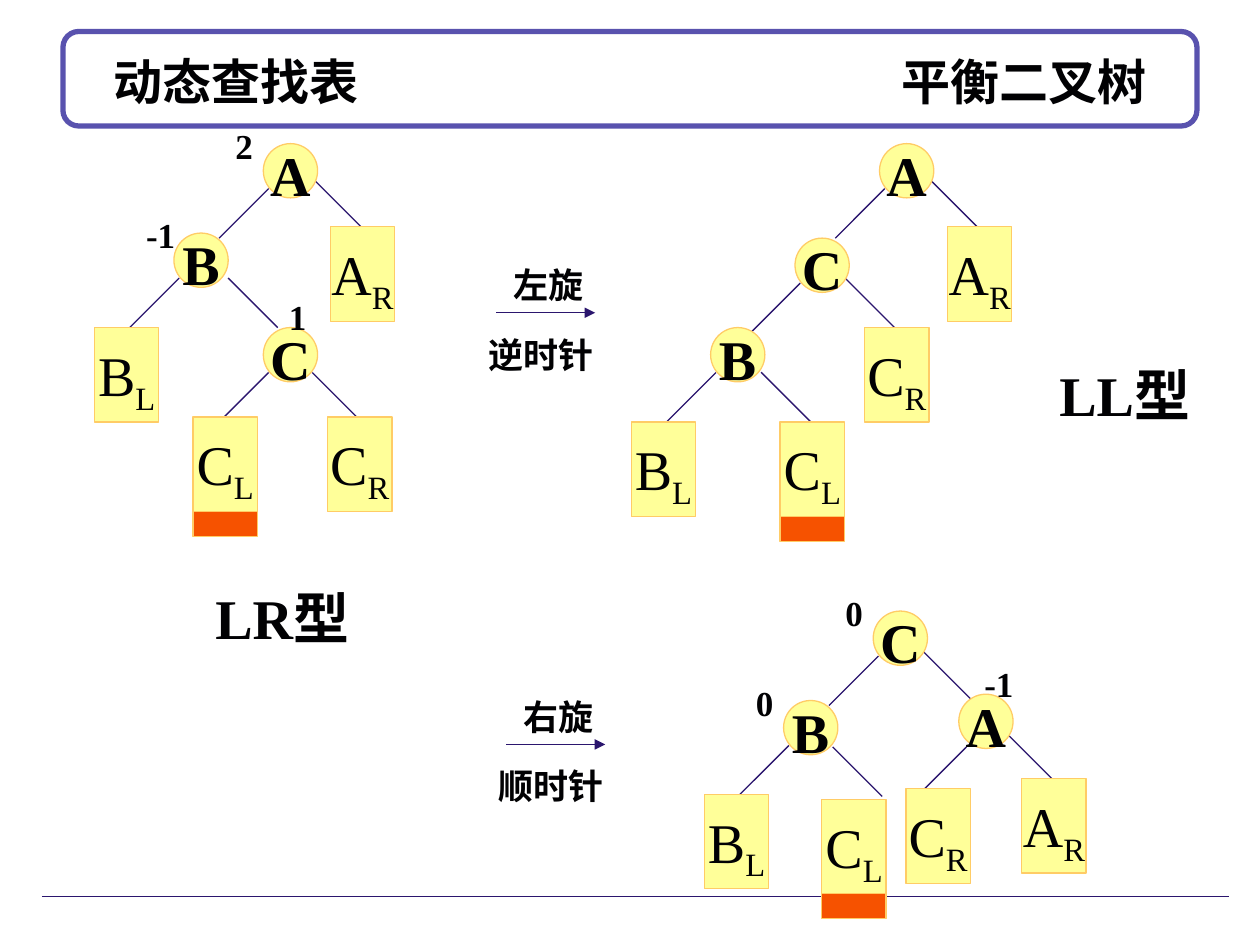
"""Build the slide on LR rotation of a balanced binary tree."""
from dataclasses import dataclass

from lxml.etree import SubElement
from pptx import Presentation
from pptx.dml.color import RGBColor
from pptx.enum.shapes import MSO_CONNECTOR, MSO_SHAPE
from pptx.enum.text import MSO_ANCHOR, MSO_AUTO_SIZE, PP_ALIGN
from pptx.oxml.ns import qn
from pptx.util import Pt


@dataclass(frozen=True)
class Theme:
    ink: RGBColor = RGBColor(0x01, 0x01, 0x03)
    edge: RGBColor = RGBColor(0x2B, 0x16, 0x6E)
    frame: RGBColor = RGBColor(0x59, 0x52, 0xAE)
    paper: RGBColor = RGBColor(0xFF, 0xFF, 0xFF)
    node: RGBColor = RGBColor(0xFF, 0xFF, 0x99)
    border: RGBColor = RGBColor(0xFF, 0xCC, 0x66)
    added: RGBColor = RGBColor(0xF6, 0x52, 0x00)
    serif: str = "Times New Roman"
    sans: str = "Lato"
    title: int = 28
    big: int = 32
    small: int = 20


@dataclass(frozen=True)
class Node:
    name: str
    x: float
    y: float
    right: tuple[float, float]
    left: tuple[float, float] = (3, 25.7)
    balance: str = ""
    tag: tuple[float, float] = (-23, -17)


@dataclass(frozen=True)
class Subtree:
    name: str
    side: str
    x: float
    y: float


@dataclass(frozen=True)
class Rotation:
    turn: str
    clock: str
    x: float
    y: float


T = Theme()
CIRCLE, BOX_W, BOX_H, ADDED_H, REACH = 31, 36.8, 54, 14.2, 28.3
TAG_RIGHT = (7.5, -24)

TREES = [
    ([Node("B", 99.4, 133.2, (31, 25.7), balance="-1"),
      Node("C", 150.5, 187.2, (28, 25.7), balance="1", tag=TAG_RIGHT),
      Node("A", 150.5, 82.1, (30, 21.7), balance="2")],
     [Subtree("B", "L", 54, 187.2), Subtree("C", "L", 110.3, 238.3),
      Subtree("C", "R", 187.2, 238.3), Subtree("A", "R", 188.7, 129.6)]),
    ([Node("B", 447.8, 400.3, (28, 26.5), balance="0"),
      Node("A", 547.9, 396.7, (27.4, 22.5), (4.3, 30.2), "-1", TAG_RIGHT),
      Node("C", 499, 349.2, (28, 22.5), balance="0")],
     [Subtree("B", "L", 402.5, 453.8), Subtree("C", "L", 469.6, 456.7),
      Subtree("C", "R", 517.7, 450.7), Subtree("A", "R", 583.9, 444.8)]),
    ([Node("B", 406.1, 187.2, (28.8, 25.5)),
      Node("C", 454.3, 136.1, (28.8, 23)),
      Node("A", 502.6, 82.1, (30, 21.7))],
     [Subtree("B", "L", 360.7, 241.2), Subtree("C", "L", 445.8, 241.2),
      Subtree("C", "R", 494.1, 187.2), Subtree("A", "R", 541.4, 129.6)]),
]
ROTATIONS = [Rotation("左旋", "逆时针", 283.6, 178.7),
             Rotation("右旋", "顺时针", 289.3, 425.4)]


def add_run(p, text: str, size: int, bold: bool = True,
            font: str = T.serif, sub: bool = False) -> None:
    """Append one formatted run."""
    r = p.add_run()
    r.text = text
    r.font.size, r.font.bold, r.font.name = Pt(size), bold, font
    r.font.color.rgb = T.ink
    if sub:
        r.font._element.set("baseline", "-25000")


def add_line(s, x1: float, y1: float, x2: float, y2: float, arrow: bool = False) -> None:
    """Draw a thin straight line, with an arrowhead if asked."""
    c = s.shapes.add_connector(MSO_CONNECTOR.STRAIGHT, Pt(x1), Pt(y1), Pt(x2), Pt(y2))
    c.line.color.rgb, c.line.width = T.edge, Pt(0.75)
    if arrow:
        SubElement(c.line._get_or_add_ln(), qn("a:tailEnd"), type="triangle")
    SubElement(c._element.spPr, qn("a:effectLst"))


def add_block(s, kind, x: float, y: float, w: float, h: float,
              fill: RGBColor, line: RGBColor = T.border, width: float = 0.75):
    """Draw a filled and outlined preset shape."""
    sp = s.shapes.add_shape(kind, Pt(x), Pt(y), Pt(w), Pt(h))
    sp.shadow.inherit = False
    sp.fill.solid()
    sp.fill.fore_color.rgb = fill
    sp.line.color.rgb, sp.line.width = line, Pt(width)
    return sp


def centre(sp):
    """Prepare a shape for centred letters and return its paragraph."""
    tf = sp.text_frame
    tf.word_wrap, tf.vertical_anchor = False, MSO_ANCHOR.MIDDLE
    p = tf.paragraphs[0]
    p.alignment, p.line_spacing = PP_ALIGN.CENTER, 1.1
    return p


def add_label(s, text: str, x: float, y: float, w: float, h: float,
              size: int = T.small, font: str = T.serif) -> None:
    """Place a bold free-standing label."""
    tf = s.shapes.add_textbox(Pt(x), Pt(y), Pt(w), Pt(h)).text_frame
    tf.word_wrap, tf.auto_size = True, MSO_AUTO_SIZE.SHAPE_TO_FIT_TEXT
    p = tf.paragraphs[0]
    p.line_spacing = 1.1
    add_run(p, text, size, font=font)


def add_tree(s, nodes: list[Node], subtrees: list[Subtree]) -> None:
    """Draw the edges, nodes, balance factors and subtrees of one tree."""
    for n in nodes:
        for (dx, dy), way in ((n.left, -1), (n.right, 1)):
            x, y = n.x + dx, n.y + dy
            add_line(s, x, y, x + way * REACH, y + REACH)
    for n in nodes:
        sp = add_block(s, MSO_SHAPE.OVAL, n.x, n.y, CIRCLE, CIRCLE, T.node)
        add_run(centre(sp), n.name, T.big)
    for t in subtrees:
        sp = add_block(s, MSO_SHAPE.RECTANGLE, t.x, t.y, BOX_W, BOX_H, T.node)
        p = centre(sp)
        add_run(p, t.name, T.big, bold=False)
        add_run(p, t.side, T.big, bold=False, sub=True)
        if (t.name, t.side) == ("C", "L"):
            add_block(s, MSO_SHAPE.RECTANGLE, t.x, t.y + BOX_H, BOX_W, ADDED_H, T.added)
    for n in nodes:
        if n.balance:
            add_label(s, n.balance, n.x + n.tag[0], n.y + n.tag[1], 36.8, 33.8)


def add_rotation(s, rot: Rotation) -> None:
    """Draw a rotation arrow with a label above and below it."""
    add_line(s, rot.x, rot.y, rot.x + 56.5, rot.y, arrow=True)
    add_label(s, rot.turn, rot.x + 2.5, rot.y - 34, 57, 31, font=T.sans)
    add_label(s, rot.clock, rot.x - 11.5, rot.y + 5.7, 85, 31, font=T.sans)


def add_title(s, left: str, right: str) -> None:
    """Fill the title with two ends and frame it."""
    sp = s.shapes.title
    sp.left, sp.top, sp.width, sp.height = Pt(36), Pt(24), Pt(648), Pt(45)
    frame = add_block(s, MSO_SHAPE.ROUNDED_RECTANGLE, 36, 18, 648, 54, T.paper, T.frame, 3)
    sp._element.addprevious(frame._element)
    tf = sp.text_frame
    tf.auto_size, tf.vertical_anchor = MSO_AUTO_SIZE.NONE, MSO_ANCHOR.MIDDLE
    tf.margin_left = Pt(29)
    p = tf.paragraphs[0]
    p.alignment = PP_ALIGN.LEFT
    tabs = SubElement(p._p.get_or_add_pPr(), qn("a:tabLst"))
    SubElement(tabs, qn("a:tab"), pos=str(Pt(590)), algn="r")
    for text in (left, "\t", right):
        add_run(p, text, T.title)


def main() -> None:
    """Assemble and save the slide."""
    prs = Presentation()
    prs.slide_width, prs.slide_height = Pt(720), Pt(540)
    s = prs.slides.add_slide(prs.slide_layouts[5])
    add_title(s, "动态查找表", "平衡二叉树")
    add_line(s, 24, 512.5, 702, 512.5)
    for nodes, subtrees in TREES:
        add_tree(s, nodes, subtrees)
    for rot in ROTATIONS:
        add_rotation(s, rot)
    add_label(s, "LR型", 116, 326.2, 106.5, 49.7, T.big)
    add_label(s, "LL型", 598.3, 198.7, 98.6, 49.7, T.big)
    prs.save("out.pptx")


if __name__ == "__main__":
    main()
